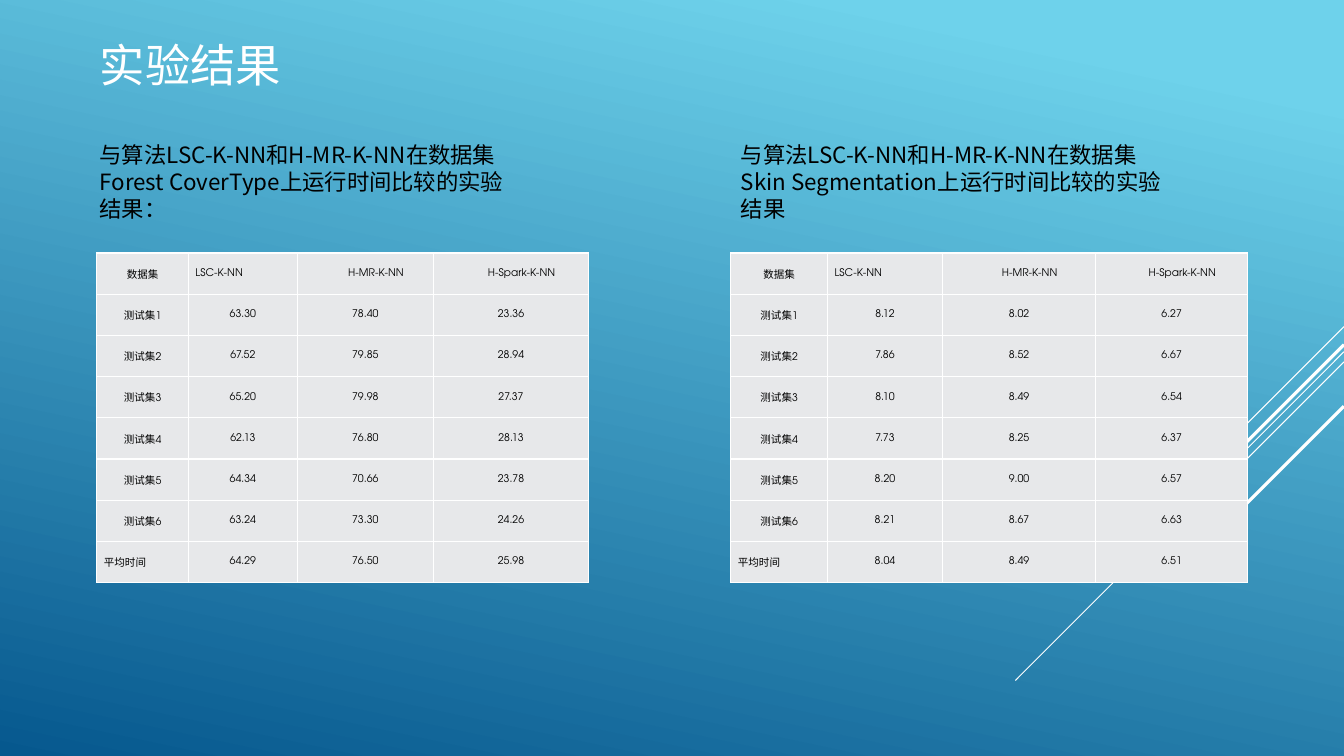
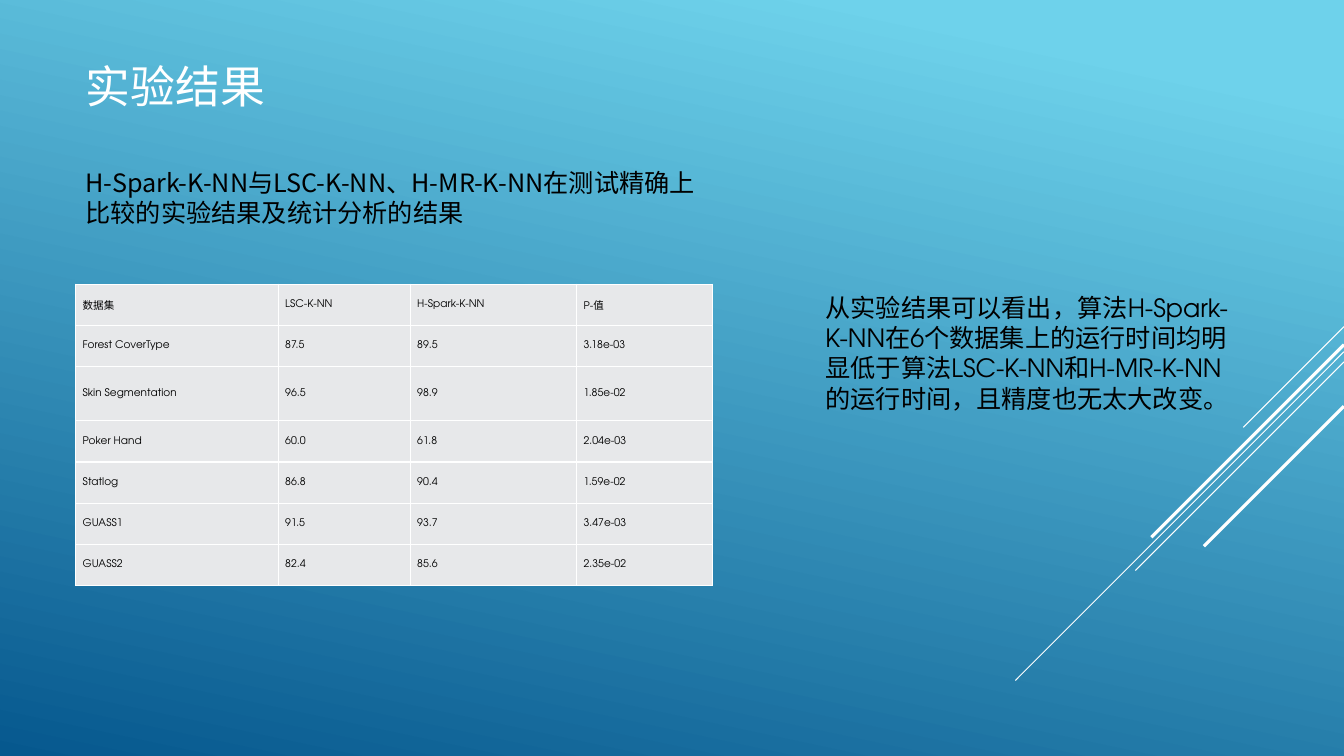
import lxml.etree
import pptx
import pptx.dml.color
import pptx.enum.shapes
import pptx.enum.text
import pptx.oxml.ns
import pptx.util

GRID_COLUMNS, GRID_ROWS = 40, 22.5
CELL = pptx.util.Emu(pptx.util.Inches(7.5) / GRID_ROWS)

WHITE = pptx.dml.color.RGBColor(0xFF, 0xFF, 0xFF)
BLACK = pptx.dml.color.RGBColor(0x00, 0x00, 0x00)
SKY = pptx.dml.color.RGBColor(0x6E, 0xD2, 0xEB)
DEEP_BLUE = pptx.dml.color.RGBColor(0x06, 0x58, 0x8E)
CELL_GREY = pptx.dml.color.RGBColor(0xE7, 0xE8, 0xEA)

CHINESE_FONT = "Noto Sans CJK SC"
LATIN_FONT = "TeX Gyre Adventor"

LEFT = pptx.enum.text.PP_ALIGN.LEFT
CENTER = pptx.enum.text.PP_ALIGN.CENTER
JUSTIFY = pptx.enum.text.PP_ALIGN.JUSTIFY
MIDDLE = pptx.enum.text.MSO_ANCHOR.MIDDLE

DIAGONALS = [(9.72, 3, 0.75), (10.47, 9.78, 0.75), (10.77, 6.21, 0.75),
             (10.26, 5.73, 2.25), (12.09, 4.17, 2.25)]

TIME_HEADER = ["数据集", "LSC-K-NN", "H-MR-K-NN", "H-Spark-K-NN"]
FOREST_TIMES = [
    ["63.30", "78.40", "23.36"],
    ["67.52", "79.85", "28.94"],
    ["65.20", "79.98", "27.37"],
    ["62.13", "76.80", "28.13"],
    ["64.34", "70.66", "23.78"],
    ["63.24", "73.30", "24.26"],
    ["64.29", "76.50", "25.98"],
]
SKIN_TIMES = [
    ["8.12", "8.02", "6.27"],
    ["7.86", "8.52", "6.67"],
    ["8.10", "8.49", "6.54"],
    ["7.73", "8.25", "6.37"],
    ["8.20", "9.00", "6.57"],
    ["8.21", "8.67", "6.63"],
    ["8.04", "8.49", "6.51"],
]
ACCURACY = [
    ["数据集", "LSC-K-NN", "H-Spark-K-NN", "P-值"],
    ["Forest CoverType", "87.5", "89.5", "3.18e-03"],
    ["Skin Segmentation", "96.5", "98.9", "1.85e-02"],
    ["Poker Hand", "60.0", "61.8", "2.04e-03"],
    ["Statlog", "86.8", "90.4", "1.59e-02"],
    ["GUASS1", "91.5", "93.7", "3.47e-03"],
    ["GUASS2", "82.4", "85.6", "2.35e-02"],
]


def grid(*lengths):
    """Turn grid cells into slide lengths."""
    return [pptx.util.Emu(round(length * CELL)) for length in lengths]


def add_child(parent, tag, **attributes):
    """Append a DrawingML element to a parent and return it."""
    return lxml.etree.SubElement(parent, pptx.oxml.ns.qn(tag), attributes)


def format_paragraph(paragraph, size, font, color, alignment=LEFT):
    """Give a paragraph its alignment and its runs their font."""
    paragraph.alignment = alignment
    for run in paragraph.runs:
        run.font.size = pptx.util.Pt(size)
        run.font.name = font
        run.font.color.rgb = color
        if font == CHINESE_FONT:
            add_child(run.font._element, "a:ea", typeface=font)


def set_background(master):
    """Fill the master with the blue gradient."""
    fill = master.background.fill
    fill.gradient()
    fill.gradient_angle = 360 - 102
    for stop, position, color in zip(fill.gradient_stops, (0.1, 1), (SKY, DEEP_BLUE)):
        stop.position = position
        stop.color.rgb = color


def add_diagonals(slide):
    """Draw the diagonal lines and move them to the layout of the slide."""
    layout_tree = slide.slide_layout.shapes.element
    for number, (top, length, width) in enumerate(DIAGONALS, start=1):
        line = slide.shapes.add_connector(
            pptx.enum.shapes.MSO_CONNECTOR.STRAIGHT,
            *grid(GRID_COLUMNS, top, GRID_COLUMNS - length, top + length))
        line.line.color.rgb = WHITE
        line.line.width = pptx.util.Pt(width)
        line.name = f"Diagonal {number}"
        add_child(line.element.spPr, "a:effectLst")
        line.element.xpath(".//p:cNvPr")[0].set("id", str(100 + number))
        layout_tree.append(line.element)


def set_title(slide, box, size):
    """Place the title placeholder and write the heading."""
    title = slide.shapes.title
    title.left, title.top, title.width, title.height = grid(*box)
    title.text_frame.text = "实验结果"
    title.text_frame.vertical_anchor = MIDDLE
    format_paragraph(title.text_frame.paragraphs[0], size, CHINESE_FONT, WHITE)


def add_text(slide, box, text, size, font=CHINESE_FONT):
    """Add a wrapped paragraph of black text."""
    frame = slide.shapes.add_textbox(*grid(*box)).text_frame
    frame.word_wrap = True
    frame.text = text
    format_paragraph(frame.paragraphs[0], size, font, BLACK)


def format_cell(cell, text, alignment, indent):
    """Fill, border and write one table cell."""
    cell.margin_left = cell.margin_right = pptx.util.Inches(0.07)
    cell.margin_top = cell.margin_bottom = 0
    cell.vertical_anchor = MIDDLE
    properties = cell._tc.get_or_add_tcPr()
    for side in ("a:lnL", "a:lnR", "a:lnT", "a:lnB"):
        border = add_child(properties, side, w=str(pptx.util.Pt(1)))
        solid = add_child(border, "a:solidFill")
        add_child(solid, "a:srgbClr", val=str(WHITE))
    cell.fill.solid()
    cell.fill.fore_color.rgb = CELL_GREY
    cell.text_frame.text = text
    paragraph = cell.text_frame.paragraphs[0]
    format_paragraph(paragraph, 7.5, LATIN_FONT, BLACK, alignment)
    if indent:
        paragraph._p.get_or_add_pPr().set("indent", str(pptx.util.Inches(indent)))


def add_result_table(slide, box, rows, column_shares, row_shares, style):
    """Add a table whose style rule gives each cell an alignment and indent."""
    left, top, width, height = grid(*box)
    table = slide.shapes.add_table(
        len(rows), len(column_shares), left, top, width, height).table
    table.first_row = table.horz_banding = False
    for column, share in zip(table.columns, column_shares):
        column.width = round(width * share / sum(column_shares))
    for row, share in zip(table.rows, row_shares):
        row.height = round(height * share / sum(row_shares))
    for row_index, row in enumerate(rows):
        for column_index, text in enumerate(row):
            format_cell(table.cell(row_index, column_index), text,
                        *style(row_index, column_index))


def time_style(row, column):
    """Centre a running time cell, except for the two justified labels."""
    if (row, column) in ((0, 1), (7, 0)):
        return JUSTIFY, 0
    return CENTER, 0.21 if row == 0 and column > 1 else 0


def accuracy_style(row, column):
    """Justify every accuracy cell."""
    return JUSTIFY, 0


def add_time_panel(slide, box, caption_box, caption, times, column_shares):
    """Add a caption and the running time table below it."""
    labels = [f"测试集{number}" for number in range(1, 7)] + ["平均时间"]
    rows = [TIME_HEADER] + [[label] + values for label, values in zip(labels, times)]
    add_result_table(slide, box, rows, column_shares, [1] * len(rows), time_style)
    add_text(slide, caption_box, caption, 16)


def build_time_slide(slide):
    """Compare running times on two data sets side by side."""
    set_title(slide, (2.67, 0.93, 25.44, 1.98), 32.4)
    add_time_panel(
        slide, (2.88, 7.53, 14.64, 9.81), (2.67, 4.05, 12.99, 3.63),
        "与算法LSC-K-NN和H-MR-K-NN在数据集Forest CoverType上运行时间比较的实验结果：",
        FOREST_TIMES, (0.91, 1.08, 1.35, 1.54))
    add_time_panel(
        slide, (21.75, 7.53, 15.39, 9.81), (21.75, 4.05, 13.65, 1.92),
        "与算法LSC-K-NN和H-MR-K-NN在数据集Skin Segmentation上运行时间比较的实验结果",
        SKIN_TIMES, (0.96, 1.14, 1.52, 1.51))


def build_accuracy_slide(slide):
    """Show the accuracy table with the conclusion beside it."""
    set_title(slide, (2.25, 1.23, 23.61, 2.61), 32)
    add_result_table(
        slide, (2.25, 8.46, 18.96, 8.97), ACCURACY, (2.01, 1.31, 1.65, 1.35),
        (0.41, 0.41, 0.54, 0.41, 0.41, 0.41, 0.41), accuracy_style)
    add_text(slide, (2.25, 4.83, 18.96, 3.03),
             "H-Spark-K-NN与LSC-K-NN、H-MR-K-NN在测试精确上比较的实验结果及统计分析的结果", 18)
    add_text(slide, (24.27, 8.55, 12.93, 4.86),
             "从实验结果可以看出，算法H-Spark-K-NN在6个数据集上的运行时间均明显低于算法"
             "LSC-K-NN和H-MR-K-NN的运行时间，且精度也无太大改变。", 18, LATIN_FONT)


def main():
    """Build both slides and save the presentation."""
    presentation = pptx.Presentation()
    presentation.slide_width, presentation.slide_height = grid(GRID_COLUMNS, GRID_ROWS)
    set_background(presentation.slide_master)
    layout = presentation.slide_layouts.get_by_name("Title Only")
    time_slide = presentation.slides.add_slide(layout)
    add_diagonals(time_slide)
    build_time_slide(time_slide)
    build_accuracy_slide(presentation.slides.add_slide(layout))
    presentation.save("out.pptx")


if __name__ == "__main__":
    main()
